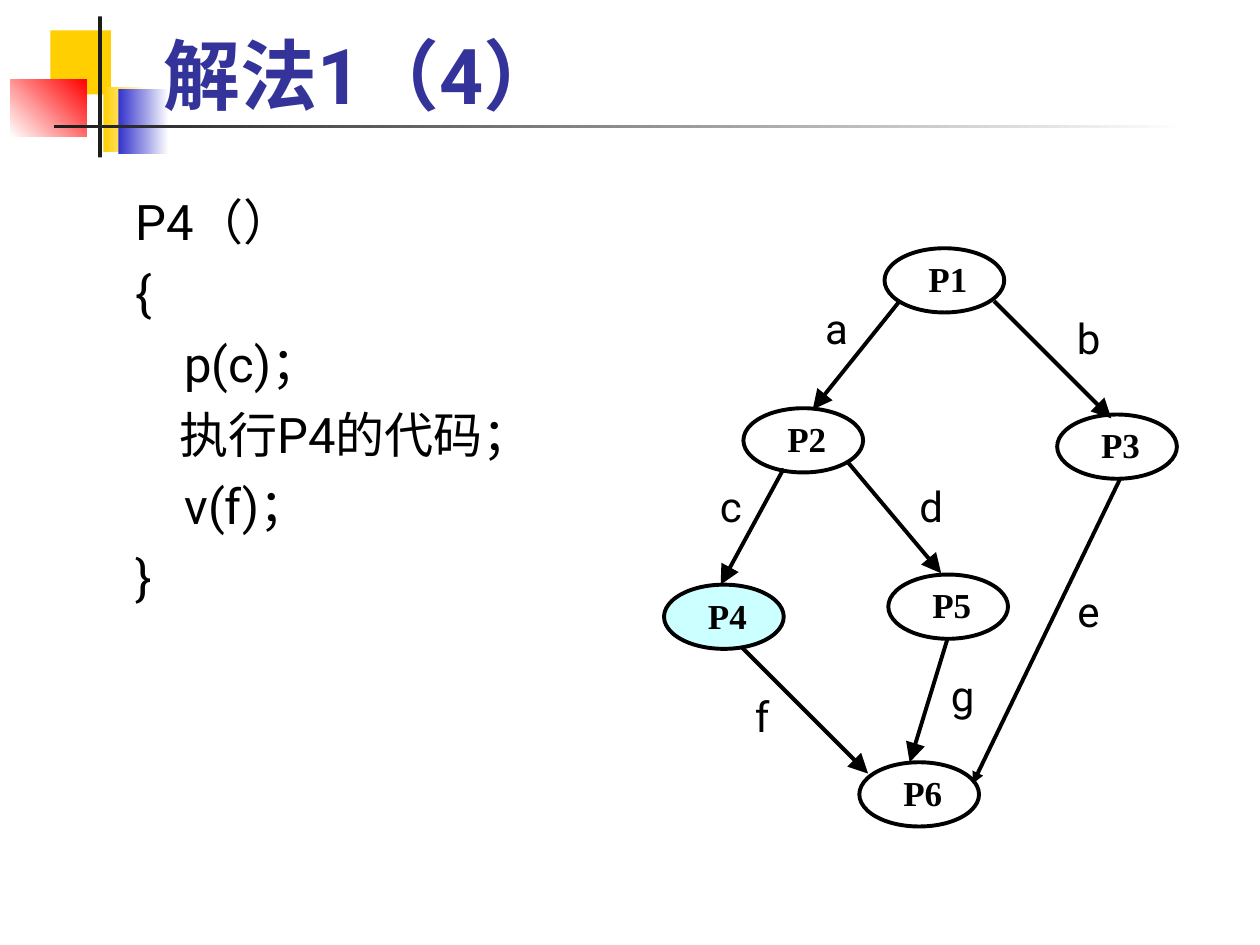
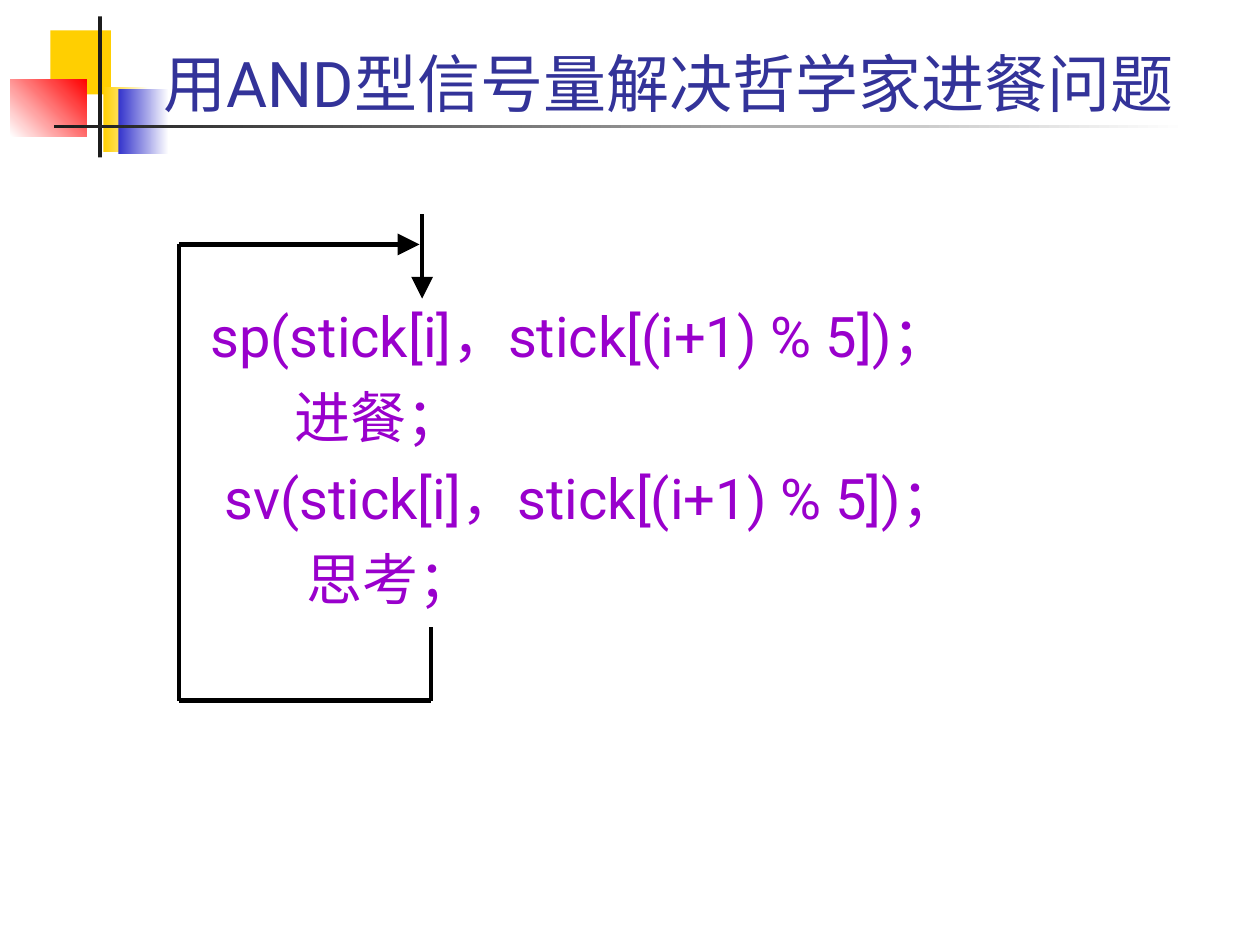
from itertools import pairwise
from typing import NamedTuple

from lxml import etree
from pptx import Presentation
from pptx.dml.color import RGBColor
from pptx.enum.shapes import MSO_CONNECTOR, MSO_SHAPE
from pptx.enum.text import MSO_ANCHOR, PP_ALIGN
from pptx.oxml.ns import qn
from pptx.util import Pt

EMU_PER_PX = 9144  # 100 px to the inch

RECTANGLE, OVAL = MSO_SHAPE.RECTANGLE, MSO_SHAPE.OVAL
STRAIGHT = MSO_CONNECTOR.STRAIGHT
TOP, MIDDLE, BOTTOM = MSO_ANCHOR.TOP, MSO_ANCHOR.MIDDLE, MSO_ANCHOR.BOTTOM
LEFT, CENTER = PP_ALIGN.LEFT, PP_ALIGN.CENTER

WHITE = RGBColor(0xFF, 0xFF, 0xFF)
BLACK = RGBColor(0x00, 0x00, 0x00)
CHARCOAL = RGBColor(0x1C, 0x1C, 0x1C)
YELLOW = RGBColor(0xFF, 0xCF, 0x01)
BLUE = RGBColor(0x33, 0x33, 0xCC)
RED = RGBColor(0xFF, 0x00, 0x00)
INDIGO = RGBColor(0x33, 0x33, 0x99)
PURPLE = RGBColor(0x99, 0x00, 0xCC)
PALE_CYAN = RGBColor(0xCC, 0xFF, 0xFF)

SANS, SERIF = "Roboto", "Times New Roman"

PROCESS_WIDTH, PROCESS_HEIGHT = 95, 51
LABEL_WIDTH, LABEL_HEIGHT = 50, 42


class Point(NamedTuple):
    x: int
    y: int


class Box(NamedTuple):
    left: int
    top: int
    width: int
    height: int


class TextStyle(NamedTuple):
    size: int
    color: RGBColor
    font: str = SANS
    bold: bool = False
    space_before: int = 0
    align: PP_ALIGN = LEFT


class Ornament(NamedTuple):
    box: Box
    start: RGBColor
    end: RGBColor | None = None
    angle: int = 0


class Process(NamedTuple):
    name: str
    corner: Point
    fill: RGBColor = WHITE


class Precedence(NamedTuple):
    semaphore: str
    label_corner: Point
    start: Point
    end: Point
    head: str = "lg"


ORNAMENTS = [
    Ornament(Box(40, 24, 48, 51), YELLOW),
    Ornament(Box(82, 69, 36, 52), YELLOW, WHITE),
    Ornament(Box(94, 71, 40, 51), BLUE, WHITE),
    Ornament(Box(8, 63, 61, 45), WHITE, RED, 45),
    Ornament(Box(78, 13, 3, 112), CHARCOAL),
    Ornament(Box(43, 99, 900, 3), CHARCOAL, WHITE),
]

PROCESSES = [
    Process("P1", Point(702, 197)),
    Process("P2", Point(590, 324)),
    Process("P3", Point(839, 329)),
    Process("P4", Point(527, 464), PALE_CYAN),
    Process("P5", Point(705, 456)),
    Process("P6", Point(682, 605)),
]

PRECEDENCES = [
    Precedence("a", Point(639, 239), Point(714, 239), Point(645, 325)),
    Precedence("b", Point(839, 247), Point(789, 239), Point(882, 332)),
    Precedence("c", Point(555, 380), Point(622, 372), Point(572, 464)),
    Precedence("d", Point(714, 380), Point(673, 367), Point(747, 455)),
    Precedence("e", Point(839, 464), Point(889, 380), Point(772, 622), "med"),
    Precedence("f", Point(580, 547), Point(589, 514), Point(689, 614)),
    Precedence("g", Point(739, 530), Point(752, 507), Point(722, 605)),
]

P4_CODE = ["P4（）", "{", "    p(c)；", "    执行P4的代码；", "    v(f)；", "}"]
PHILOSOPHER_CODE = [
    "   sp(stick[i]，stick[(i+1) % 5])；",
    "          进餐；",
    "    sv(stick[i]，stick[(i+1) % 5])；",
    "           思考；",
]

LOOP_BACK = [Point(342, 498), Point(342, 556), Point(142, 556),
             Point(142, 194), Point(333, 194)]


def px(length: int) -> int:
    return length * EMU_PER_PX


def emu(box: Box) -> list[int]:
    return [px(length) for length in box]


def write(frame, lines: list[str], style: TextStyle) -> None:
    for index, line in enumerate(lines):
        paragraph = frame.add_paragraph() if index else frame.paragraphs[0]
        paragraph.text = line
        paragraph.alignment = style.align
        if index:
            paragraph.space_before = Pt(style.space_before)
        font = paragraph.font
        font.name, font.size, font.bold = style.font, Pt(style.size), style.bold
        font.color.rgb = style.color


def clear_margins(frame) -> None:
    frame.margin_left = frame.margin_right = 0
    frame.margin_top = frame.margin_bottom = 0


def add_ornament(slide, ornament: Ornament):
    shape = slide.shapes.add_shape(RECTANGLE, *emu(ornament.box))
    shape.shadow.inherit = False
    shape.line.fill.background()
    if ornament.end is None:
        shape.fill.solid()
        shape.fill.fore_color.rgb = ornament.start
    else:
        shape.fill.gradient()
        shape.fill.gradient_angle = ornament.angle
        first, last = shape.fill.gradient_stops
        first.color.rgb, first.position = ornament.start, 0
        last.color.rgb, last.position = ornament.end, 1
    return shape


def add_line(slide, start: Point, end: Point, width: float, head: str = "") -> None:
    line = slide.shapes.add_connector(
        STRAIGHT, px(start.x), px(start.y), px(end.x), px(end.y))
    line.line.color.rgb = BLACK
    line.line.width = Pt(width)
    properties = line._element.spPr
    if head:
        etree.SubElement(properties.find(qn("a:ln")), qn("a:tailEnd"),
                         type="triangle", w=head, len=head)
    etree.SubElement(properties, qn("a:effectLst"))


def add_process(slide, process: Process) -> None:
    box = Box(*process.corner, PROCESS_WIDTH, PROCESS_HEIGHT)
    oval = slide.shapes.add_shape(OVAL, *emu(box))
    oval.shadow.inherit = False
    oval.fill.solid()
    oval.fill.fore_color.rgb = process.fill
    oval.line.color.rgb = BLACK
    oval.line.width = Pt(2.25)
    frame = oval.text_frame
    clear_margins(frame)
    frame.margin_left = px(21)
    frame.vertical_anchor = TOP
    write(frame, [process.name], TextStyle(20, BLACK, SERIF, bold=True))


def add_precedence(slide, edge: Precedence) -> None:
    add_line(slide, edge.start, edge.end, 2.25, edge.head)
    box = Box(*edge.label_corner, LABEL_WIDTH, LABEL_HEIGHT)
    frame = slide.shapes.add_textbox(*emu(box)).text_frame
    clear_margins(frame)
    frame.word_wrap = False
    frame.vertical_anchor = MIDDLE
    write(frame, [edge.semaphore], TextStyle(24, BLACK, align=CENTER))


def add_code(slide, box: Box, lines: list[str], style: TextStyle) -> None:
    frame = slide.shapes.add_textbox(*emu(box)).text_frame
    frame.word_wrap = True
    write(frame, lines, style)


def add_titled_slide(deck, layout, title: str, style: TextStyle):
    slide = deck.slides.add_slide(layout)
    heading = slide.shapes.title
    heading.left, heading.top, heading.width, heading.height = emu(
        Box(120, 17, 852, 83))
    heading.text_frame.vertical_anchor = BOTTOM
    write(heading.text_frame, [title], style)
    return slide


def share_ornaments(slide, layout) -> None:
    """Draw the title band once and keep it on the layout."""
    for ornament in ORNAMENTS:
        shape = add_ornament(slide, ornament)
        layout.shapes._spTree.append(shape._element)


def build_precedence_graph(deck, layout) -> None:
    slide = add_titled_slide(deck, layout, "解法1（4）",
                             TextStyle(44, INDIGO, bold=True))
    share_ornaments(slide, layout)
    add_code(slide, Box(98, 147, 370, 366), P4_CODE,
             TextStyle(28, BLACK, space_before=7))
    for process in PROCESSES:
        add_process(slide, process)
    for edge in PRECEDENCES:
        add_precedence(slide, edge)


def build_philosophers(deck, layout) -> None:
    slide = add_titled_slide(deck, layout, "用AND型信号量解决哲学家进餐问题",
                             TextStyle(36, INDIGO))
    add_code(slide, Box(124, 234, 850, 448), PHILOSOPHER_CODE,
             TextStyle(32, PURPLE, space_before=8))
    # Entry arrow and the loop back to it
    add_line(slide, Point(335, 170), Point(335, 237), 2.5, "lg")
    for start, end in pairwise(LOOP_BACK):
        add_line(slide, start, end, 2.5, "lg" if end == LOOP_BACK[-1] else "")


def main() -> None:
    deck = Presentation()
    deck.slide_width, deck.slide_height = px(1000), px(750)
    layout = deck.slide_layouts.get_by_name("Title Only")
    # The layout keeps only its title
    for placeholder in list(layout.placeholders)[1:]:
        layout.shapes._spTree.remove(placeholder._element)
    build_precedence_graph(deck, layout)
    build_philosophers(deck, layout)
    deck.save("out.pptx")


if __name__ == "__main__":
    main()
